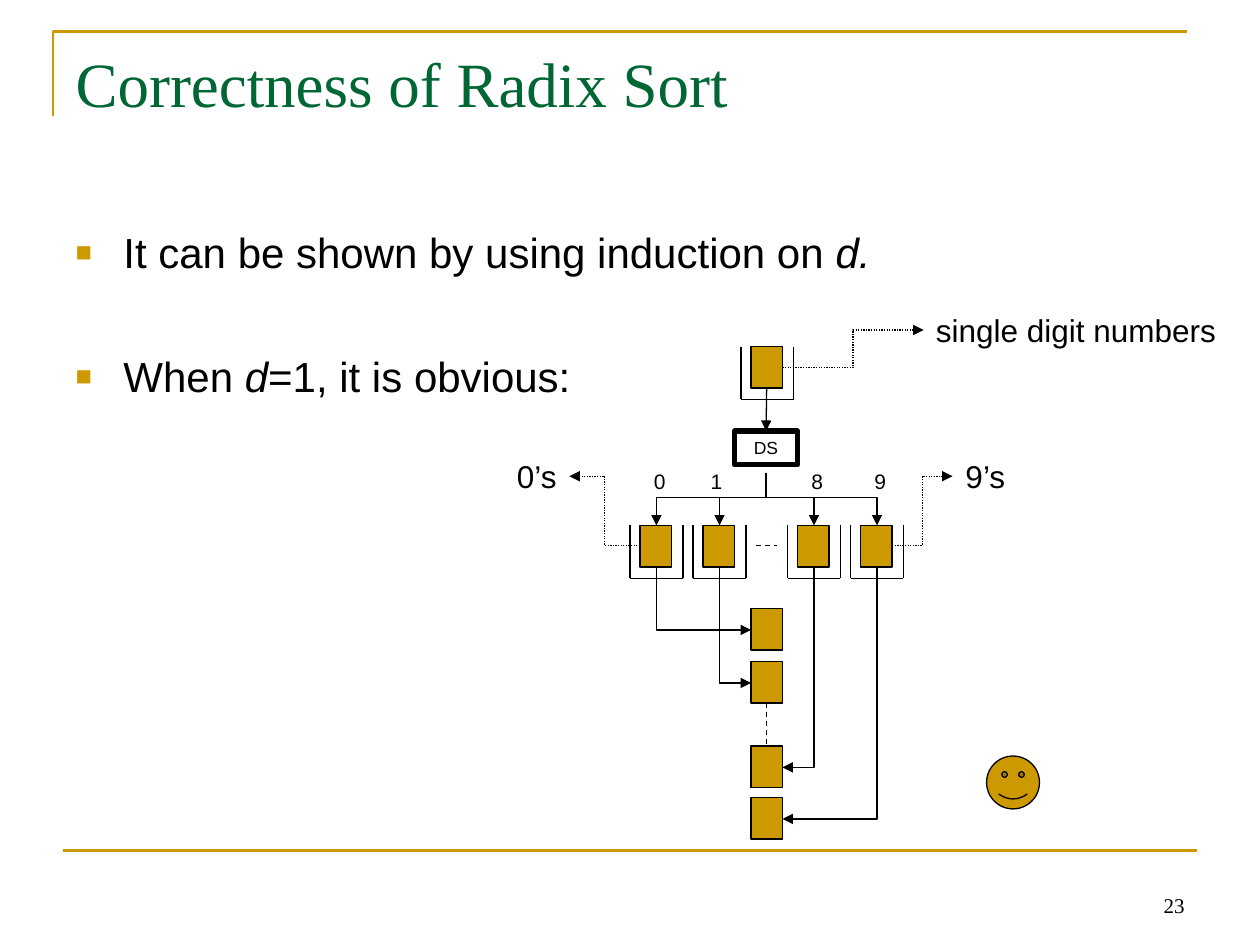
import pptx
import pptx.dml.color
import pptx.enum.dml
import pptx.enum.shapes
import pptx.enum.text
import pptx.oxml
import pptx.oxml.ns
import pptx.util

GOLD, GREEN, BLACK = "CC9900", "006633", "000000"
SANS, SERIF = "Arial", "Times New Roman"
Inches = pptx.util.Inches
KIND = pptx.enum.shapes.MSO_SHAPE
LINK = pptx.enum.shapes.MSO_CONNECTOR
DASH = pptx.enum.dml.MSO_LINE
ALIGN = pptx.enum.text.PP_ALIGN
ANCHOR = pptx.enum.text.MSO_ANCHOR
FIT = pptx.enum.text.MSO_AUTO_SIZE
TOP, BOTTOM = 0, 2


def color(text):
    return pptx.dml.color.RGBColor.from_string(text)


def put(item, **values):
    for name, value in values.items():
        setattr(item, name, value)


def node(tag, **values):
    item = pptx.oxml.parse_xml(f"<{tag} {pptx.oxml.ns.nsdecls('a')}/>")
    for name, value in values.items():
        item.set(name, value)
    return item


class Deck:
    def __init__(self):
        self.deck = pptx.Presentation()
        put(self.deck, slide_width=Inches(10), slide_height=Inches(7.5))
        self.slide = self.deck.slides.add_slide(self.deck.slide_layouts[1])
        self.shapes = self.slide.shapes

    def ink(self, para, text, size, face=SANS, hue=BLACK, italic=False):
        """Add a formatted run."""
        run = para.add_run()
        run.text = text
        put(run.font, size=pptx.util.Pt(size), name=face, italic=italic)
        run.font.color.rgb = color(hue)

    def place(self, shape, x, y, w, h):
        put(shape, left=Inches(x), top=Inches(y),
            width=Inches(w), height=Inches(h))

    def title(self, text):
        shape = self.shapes.title
        self.place(shape, 0.5, 0.3, 9, 1.25)
        put(shape.text_frame, vertical_anchor=ANCHOR.TOP, auto_size=FIT.NONE)
        para = shape.text_frame.paragraphs[0]
        para.alignment = ALIGN.LEFT
        self.ink(para, text, 36, SERIF, GREEN)

    def body(self, items, gap):
        """Each item is a list of (text, italic) pairs."""
        shape = self.slide.placeholders[1]
        self.place(shape, 0.5, 1.75, 9, 4.95)
        frame = shape.text_frame
        put(frame, vertical_anchor=ANCHOR.TOP, auto_size=FIT.NONE)
        for i, parts in enumerate(items):
            para = frame.add_paragraph() if i else frame.paragraphs[0]
            props = para._p.get_or_add_pPr()
            props.set("marL", str(Inches(0.38)))
            props.set("indent", str(-Inches(0.38)))
            tint = node("a:buClr")
            tint.append(node("a:srgbClr", val=GOLD))
            for item in (tint, node("a:buSzPct", val="65000"),
                         node("a:buFont", typeface=SANS),
                         node("a:buChar", char="■")):
                props.append(item)
            para.space_before = pptx.util.Pt(gap if i else 0)
            for text, italic in parts:
                self.ink(para, text, 24, italic=italic)

    def label(self, text, x, y, w, h, size, face=SANS,
              align=ALIGN.CENTER, anchor=ANCHOR.TOP, wrap=False):
        frame = self.shapes.add_textbox(
            Inches(x), Inches(y), Inches(w), Inches(h)).text_frame
        put(frame, word_wrap=wrap, vertical_anchor=anchor)
        frame.paragraphs[0].alignment = align
        self.ink(frame.paragraphs[0], text, size, face)

    def shape(self, x, y, w, h, kind=KIND.RECTANGLE, fill=GOLD, width=0.75):
        shape = self.shapes.add_shape(
            kind, Inches(x), Inches(y), Inches(w), Inches(h))
        shape.shadow.inherit = False
        if fill:
            shape.fill.solid()
            shape.fill.fore_color.rgb = color(fill)
        else:
            shape.fill.background()
        shape.line.color.rgb = color(BLACK)
        shape.line.width = pptx.util.Pt(width)
        return shape

    def block(self, x, y):
        return self.shape(x, y, 0.25, 0.33)

    def line(self, start, end, hue=BLACK, width=0.75, dash=None,
             arrow=False, kind=LINK.STRAIGHT, home=None):
        points = [Inches(v) for v in (*start, *end)]
        line = (home or self.shapes).add_connector(kind, *points)
        line.line.color.rgb = color(hue)
        line.line.width = pptx.util.Pt(width)
        if dash:
            line.line.dash_style = dash
        props = line.element.spPr
        if arrow:
            props.find(pptx.oxml.ns.qn("a:ln")).append(
                node("a:tailEnd", type="triangle"))
        props.append(node("a:effectLst"))
        return line

    def bend(self, start, end, dash=None):
        return self.line(start, end, dash=dash, arrow=True, kind=LINK.ELBOW)

    def drop(self, start, end, turn=None):
        """Elbow that leaves downward; turn is where it bends, None for a corner."""
        line = self.bend(start, end)
        (x, y), (u, v) = start, end
        long, wide = v - y, abs(u - x)
        self.place(line, (x + u - long) / 2, (y + v - wide) / 2, long, wide)
        props = line.element.spPr
        frame = props.find(pptx.oxml.ns.qn("a:xfrm"))
        right = u > x
        frame.set("rot", str((270 if right else 90) * 60000))
        frame.set("flipH", str(int(right)))
        frame.set("flipV", "0")
        shape = props.find(pptx.oxml.ns.qn("a:prstGeom"))
        shape.set("prst", "bentConnector2" if turn is None else "bentConnector3")
        if turn is not None:
            guides = shape.find(pptx.oxml.ns.qn("a:avLst"))
            guides.append(node("a:gd", name="adj1", fmla=f"val {turn}"))

    def tray(self, x, y):
        home = self.shapes.add_group_shape().shapes
        u, v = x + 0.42, y + 0.42
        points = [(x, y), (x, v), (u, v), (u, y)]
        for start, end in zip(points, points[1:]):
            self.line(start, end, home=home)

    def frame(self):
        pen = self.shapes.build_freeform(
            Inches(0.42), Inches(0.92), scale=1.0)
        pen.add_line_segments([(Inches(0.42), Inches(0.25)),
                               (Inches(9.42), Inches(0.25))], close=False)
        edge = pen.convert_to_shape()
        edge.shadow.inherit = False
        edge.fill.background()
        edge.line.color.rgb = color(GOLD)
        edge.line.width = pptx.util.Pt(1.5)
        self.line((0.5, 6.75), (9.5, 6.75), GOLD, 1.5)


def main():
    deck = Deck()
    deck.frame()
    deck.label("23", 7.17, 6.83, 2.33, 0.5, 12, SERIF,
               ALIGN.RIGHT, ANCHOR.BOTTOM, True)
    deck.title("Correctness of Radix Sort")
    deck.body([[("It can be shown by using induction on ", False), ("d.", True)],
               [("When ", False), ("d", True), ("=1, it is obvious:", False)]], 42)

    mid, col = 6.08, 5.96
    deck.tray(5.88, 2.75)
    source = deck.block(col, 2.75)
    sorter = deck.shape(5.83, 3.42, 0.5, 0.27, fill=None, width=3)
    put(sorter.text_frame, word_wrap=True, vertical_anchor=ANCHOR.MIDDLE)
    para = sorter.text_frame.paragraphs[0]
    para.alignment = ALIGN.CENTER
    deck.ink(para, "DS", 10)
    feed = deck.line((mid, 3.08), (mid, 3.42), arrow=True)
    feed.begin_connect(source, BOTTOM)
    feed.end_connect(sorter, TOP)

    piles = []
    bins = [("0", 5, 5.09, 4.83), ("1", 5.5, 5.54, 5.25),
            ("8", 6.25, 6.34, 5.92), ("9", 6.75, 6.84, 6.33)]
    for digit, x, left, y in bins:
        center = x + 0.21
        deck.tray(x, 4.17)
        deck.block(x + 0.08, 4.17)
        deck.label(digit, left, 3.67, 0.29, 0.3, 12)
        piles.append(deck.block(col, y))
        side = col if center < mid else col + 0.25
        deck.drop((mid, 3.75), (center, 4.17), 47500)
        deck.drop((center, 4.5), (side, y + 0.17))
    deck.line((6, 4.33), (6.17, 4.33), dash=DASH.DASH)
    gap = deck.line((mid, 5.58), (mid, 5.92), dash=DASH.DASH)
    gap.begin_connect(piles[1], BOTTOM)
    gap.end_connect(piles[2], TOP)

    notes = [("single digit numbers", 7.33, 2.42, 2.42, (6.21, 2.92), (7.33, 2.62)),
             ("0’s", 4, 3.58, 0.52, (5.08, 4.33), (4.52, 3.78)),
             ("9’s", 7.56, 3.58, 0.52, (7.08, 4.33), (7.56, 3.78))]
    for text, x, y, w, start, end in notes:
        deck.label(text, x, y, w, 0.4, 18)
        deck.bend(start, end, DASH.ROUND_DOT)
    smile = deck.shape(7.83, 6, 0.42, 0.42, KIND.SMILEY_FACE)
    smile.adjustments[0] = 0.09
    deck.deck.save("out.pptx")


if __name__ == "__main__":
    main()
